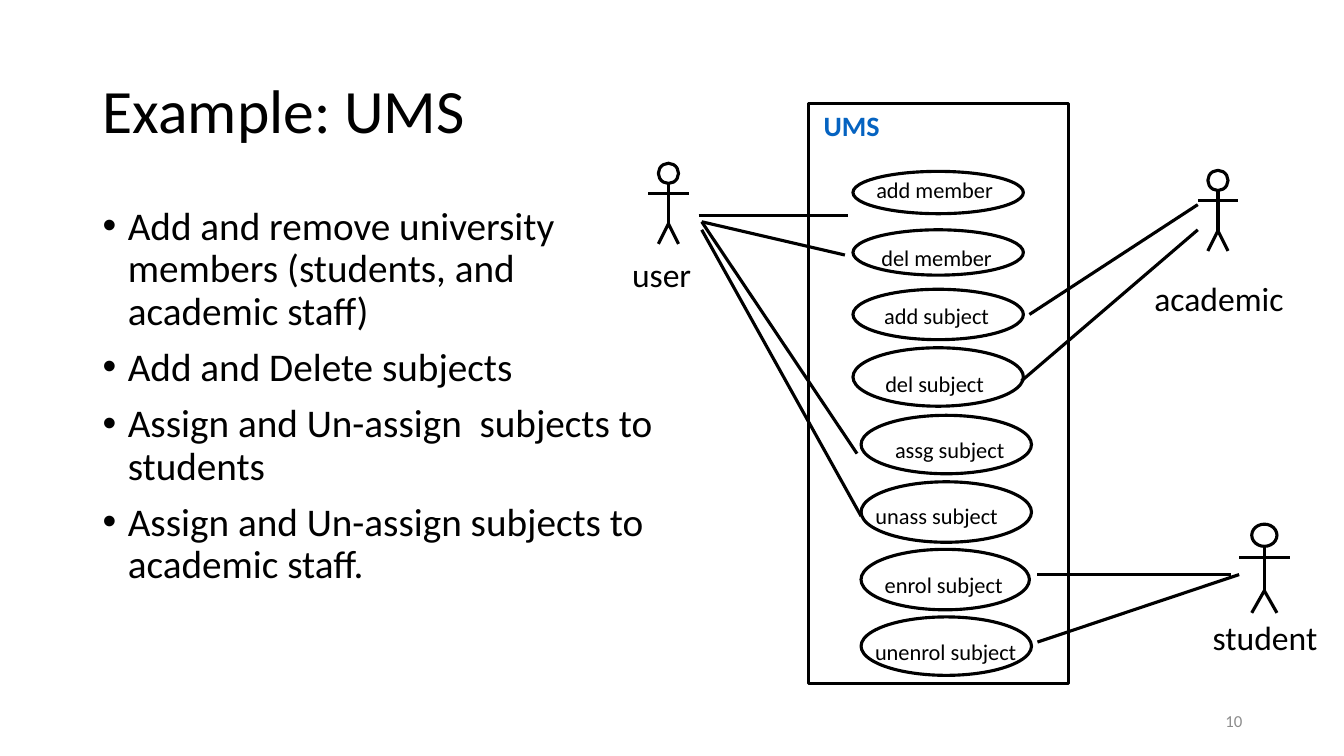
"""Build the UMS use case slide with its actors, use cases and links."""
from lxml import etree
from pptx import Presentation
from pptx.dml.color import RGBColor
from pptx.enum.shapes import MSO_CONNECTOR, MSO_SHAPE
from pptx.enum.text import MSO_ANCHOR, PP_ALIGN
from pptx.oxml.ns import qn
from pptx.util import Inches, Pt

BLACK = RGBColor(0x00, 0x00, 0x00)
BLUE = RGBColor(0x05, 0x63, 0xC1)
GRAY = RGBColor(0x8C, 0x8C, 0x8C)

prs = Presentation()
prs.slide_width, prs.slide_height = Inches(13.33), Inches(7.5)
s = prs.slides.add_slide(prs.slide_layouts[6])


def add_text(lines, x, y, w, h, size, color=BLACK, align=PP_ALIGN.LEFT,
             anchor=MSO_ANCHOR.TOP, wrap=True):
    tf = s.shapes.add_textbox(Inches(x), Inches(y), Inches(w), Inches(h)).text_frame
    tf.word_wrap = wrap
    tf.vertical_anchor = anchor
    tf.text = "\n".join(lines)
    for p in tf.paragraphs:
        p.alignment = align
        p.font.name, p.font.size = "Calibri", Pt(size)
        p.font.color.rgb = color
    return tf


def outline(sp):
    sp.line.color.rgb = BLACK
    sp.line.width = Pt(2.25)
    if hasattr(sp, "fill"):
        sp.fill.background()
        sp.shadow.inherit = False
    else:
        etree.SubElement(sp._element.spPr, qn("a:effectLst"))


tf = add_text(["Example: UMS"], 0.92, 0.4, 11.5, 1.45, 44, anchor=MSO_ANCHOR.MIDDLE)
tf.paragraphs[0].line_spacing = 0.9

tf = add_text(["Add and remove university members (students, and academic staff)",
               "Add and Delete subjects",
               "Assign and Un-assign  subjects to students",
               "Assign and Un-assign subjects to academic staff."],
              0.92, 2, 5.67, 4.76, 28)
for p in tf.paragraphs:
    p.line_spacing, p.space_before = 0.9, Pt(10)
    pPr = p._p.get_or_add_pPr()
    pPr.set("marL", str(Inches(0.25)))
    pPr.set("indent", str(Inches(-0.25)))
    bullet_font = etree.Element(qn("a:buFont"), typeface="Arial")
    bullet = etree.Element(qn("a:buChar"), char="•")
    pPr.find(qn("a:spcBef")).addnext(bullet_font)
    bullet_font.addnext(bullet)

add_text(["10"], 9.42, 6.95, 3, 0.4, 12, GRAY, PP_ALIGN.RIGHT, MSO_ANCHOR.MIDDLE)

outline(s.shapes.add_shape(MSO_SHAPE.RECTANGLE, Inches(8.02), Inches(1.03),
                           Inches(2.58), Inches(5.75)))
tf = add_text(["UMS"], 8.07, 1.03, 1.25, 0.44, 20, BLUE)
tf.paragraphs[0].font.bold = True

links = [
    (6.93, 2.14, 8.41, 2.14), (6.96, 2.2, 8.38, 2.53),
    (6.96, 2.2, 8.5, 4.5), (6.96, 2.28, 8.54, 5.12),
    (11.88, 2.03, 10.21, 3.12), (11.88, 2.28, 10.13, 3.78),
    (12.21, 5.7, 10.29, 5.7), (12.29, 5.7, 10.29, 6.37),
]

# name, centre x, top, head width, head height, label left, label top, label width
actors = [
    ("user", 6.63, 1.62, 0.2, 0.2, 6.17, 2.47, 0.79),
    ("academic", 12.08, 1.69, 0.2, 0.2, 11.35, 2.71, 1.48),
    ("student", 12.54, 5.2, 0.25, 0.22, 11.93, 6.07, 1.24),
]
for name, cx, top, w, h, label_x, label_y, label_w in actors:
    neck, hip, arms = top + h, top + 3 * h, top + 1.5 * h
    outline(s.shapes.add_shape(MSO_SHAPE.OVAL, Inches(cx - w / 2), Inches(top),
                               Inches(w), Inches(h)))
    links += [(cx, neck, cx, hip), (cx - w, arms, cx + w, arms)]
    legs = s.shapes.build_freeform(Inches(cx - w / 2), Inches(hip + h))
    legs.add_line_segments([(Inches(cx), Inches(hip)),
                            (Inches(cx + w / 2), Inches(hip + h))], close=False)
    outline(legs.convert_to_shape())
    add_text([name], label_x, label_y, label_w, 0.5, 24, wrap=False)

for x1, y1, x2, y2 in links:
    outline(s.shapes.add_connector(MSO_CONNECTOR.STRAIGHT, Inches(x1), Inches(y1),
                                   Inches(x2), Inches(y2)))

# label, oval left, top, width, height, label centre x, label top
use_cases = [
    ("add member", 8.46, 1.7, 1.69, 0.42, 9.27, 1.7),
    ("del member", 8.46, 2.28, 1.69, 0.45, 9.29, 2.37),
    ("add subject", 8.46, 2.87, 1.69, 0.5, 9.29, 2.95),
    ("del subject", 8.46, 3.45, 1.69, 0.58, 9.27, 3.62),
    ("assg subject", 8.54, 4.12, 1.69, 0.58, 9.42, 4.28),
    ("unass subject", 8.54, 4.78, 1.69, 0.6, 9.29, 4.93),
    ("enrol subject", 8.54, 5.45, 1.67, 0.6, 9.36, 5.62),
    ("unenrol subject", 8.54, 6.12, 1.69, 0.58, 9.38, 6.28),
]
for label, x, y, w, h, cx, label_y in use_cases:
    outline(s.shapes.add_shape(MSO_SHAPE.OVAL, Inches(x), Inches(y), Inches(w), Inches(h)))
    add_text([label], cx - 0.9, label_y, 1.8, 0.37, 16, align=PP_ALIGN.CENTER)

prs.save("out.pptx")
